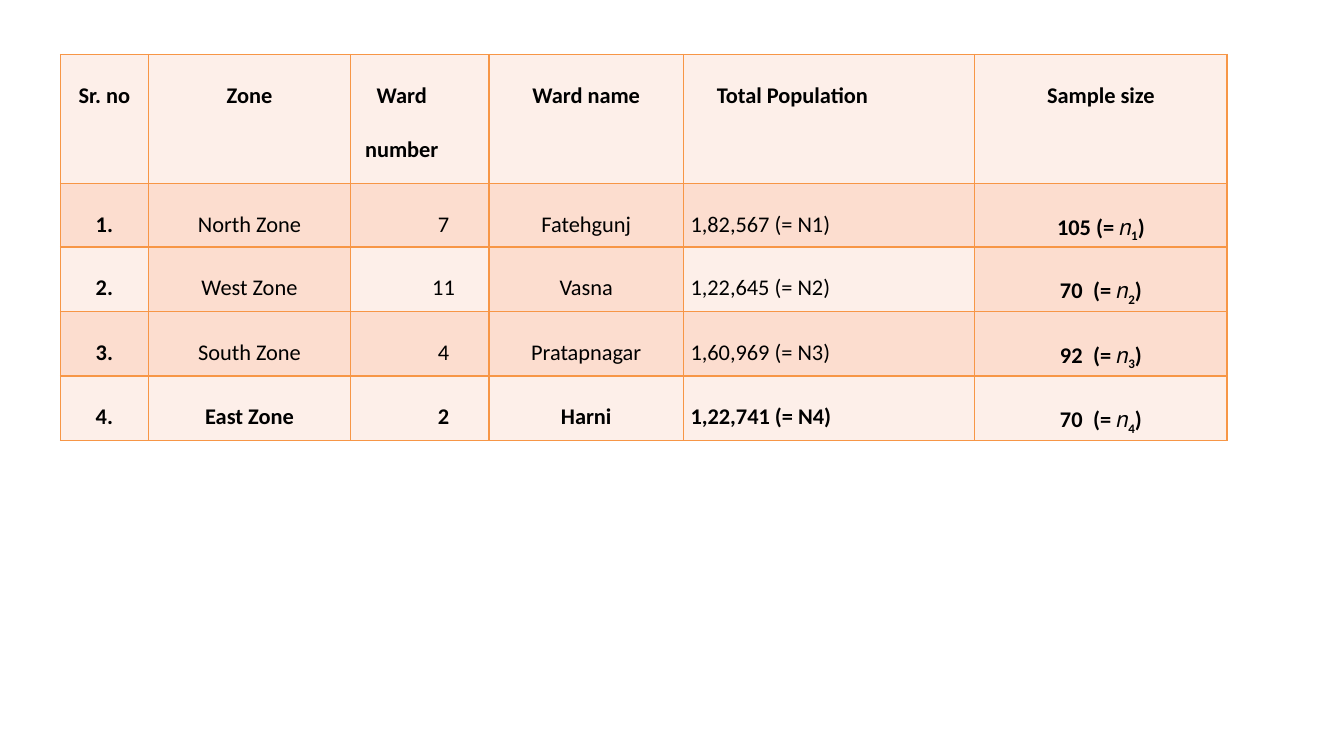
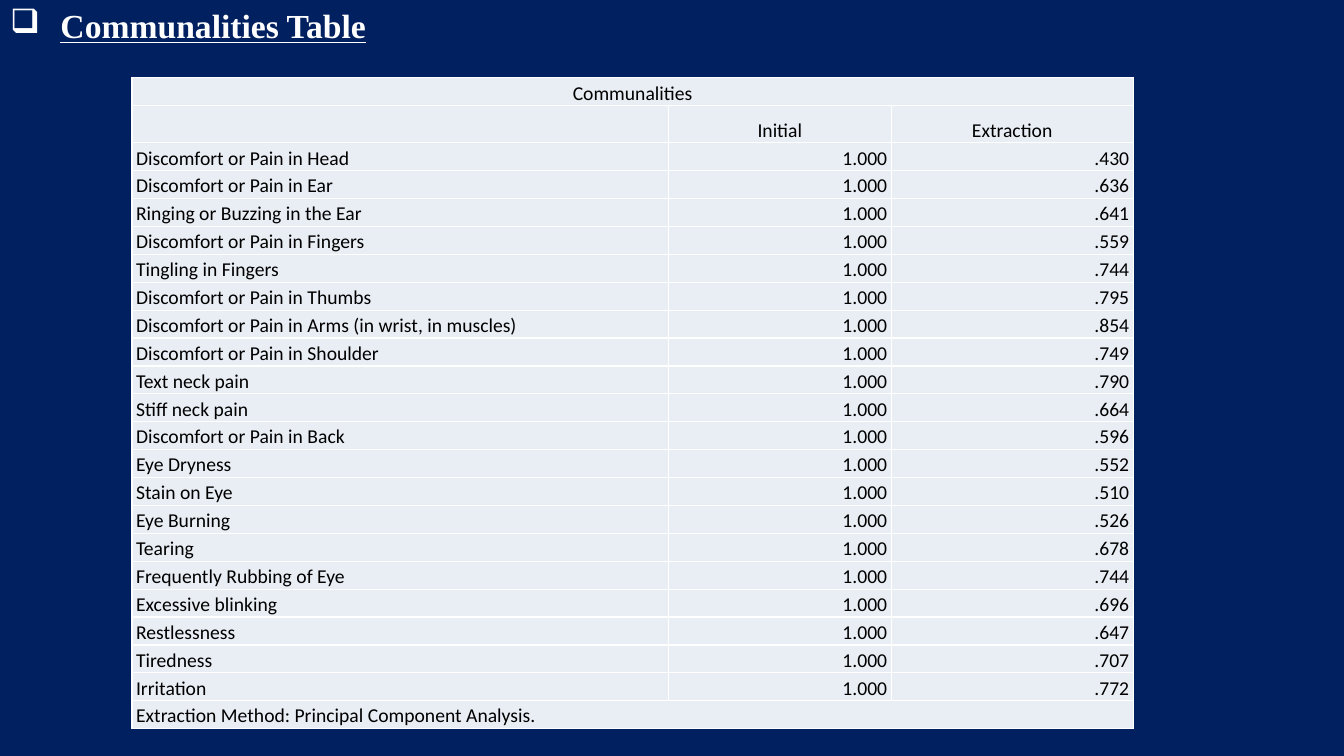
"""Build a ward sampling table and a communalities table."""
import pptx
import pptx.dml.color
import pptx.enum.text
import pptx.oxml.ns
import pptx.util
from lxml import etree

Inches = pptx.util.Inches
Pt = pptx.util.Pt
ALIGN = pptx.enum.text.PP_ALIGN
ANCHOR = pptx.enum.text.MSO_ANCHOR
qn = pptx.oxml.ns.qn

ORANGE, PALE_PEACH, PEACH = "F79646", "FDEFE9", "FCDDCF"
NAVY, PALE_BLUE = "002060", "E9EDF4"
WHITE, BLACK = "FFFFFF", "000000"


def rgb(value):
    return pptx.dml.color.RGBColor.from_string(value)


def style_cell(cell, fill, border, size, spacing, align, bold=False,
               left=0, right=0, top_width=1, bottom_width=1):
    cell.margin_left, cell.margin_right = Inches(left), Inches(right)
    cell.margin_top = cell.margin_bottom = 0
    widths = {"a:lnL": 1, "a:lnR": 1, "a:lnT": top_width, "a:lnB": bottom_width}
    for side, width in widths.items():
        line = etree.SubElement(cell._tc.get_or_add_tcPr(), qn(side), w=str(Pt(width)))
        paint = etree.SubElement(line, qn("a:solidFill"))
        etree.SubElement(paint, qn("a:srgbClr"), val=border)
    cell.fill.solid()
    cell.fill.fore_color.rgb = rgb(fill)
    paragraph = cell.text_frame.paragraphs[0]
    paragraph.alignment = align
    paragraph.line_spacing = spacing
    paragraph.font.name = "Calibri"
    paragraph.font.size = Pt(size)
    paragraph.font.bold = bold
    paragraph.font.color.rgb = rgb(BLACK)


deck = pptx.Presentation()
deck.slide_width, deck.slide_height = Inches(13.33), Inches(7.5)

sampling_slide = deck.slides.add_slide(deck.slide_layouts[6])
wards = [
    ["Sr. no", "Zone", "Ward number", "Ward name", "Total Population", "Sample size"],
    ["1.", "North Zone", "7", "Fatehgunj", "1,82,567 (= N1)", "105 (= "],
    ["2.", "West Zone", "11", "Vasna", "1,22,645 (= N2)", "70\t(= "],
    ["3.", "South Zone", "4", "Pratapnagar", "1,60,969 (= N3)", "92\t(= "],
    ["4.", "East Zone", "2", "Harni", "1,22,741 (= N4)", "70\t(= "],
]
last = len(wards) - 1
sampling = sampling_slide.shapes.add_table(
    len(wards), 6, Inches(0.6), Inches(0.54), Inches(11.58), Inches(3.85)).table
sampling.first_row = sampling.horz_banding = False
for column, width in zip(sampling.columns, [0.87, 2.01, 1.37, 1.93, 2.89, 2.5]):
    column.width = Inches(width)
for row, height in zip(sampling.rows, [1.28, 0.63, 0.64, 0.64, 0.64]):
    row.height = Inches(height)

for r, ward in enumerate(wards):
    header = r == 0
    for c, text in enumerate(ward):
        cell = sampling.cell(r, c)
        cell.text = text
        left = right = 0
        if c == 2:
            left, right = (0, 0.36) if header else (0.47, 0)
        elif c == 4:
            left = 0.33 if header else 0.07
        style_cell(
            cell, PEACH if r in (1, 3) or (r == 2 and c % 2) else PALE_PEACH,
            ORANGE, 16, 2.0, ALIGN.LEFT if c == 4 else ALIGN.CENTER,
            bold=r in (0, last) or c in (0, 5), left=left, right=right,
            top_width=2 if r == last else 1, bottom_width=2 if r == last - 1 else 1)
    if not header:
        sample = sampling.cell(r, 5).text_frame.paragraphs[0]
        for piece in ["𝑛", str(r), ")"]:
            run = sample.add_run()
            run.text = piece
            if piece == str(r):
                run.font._element.set("baseline", "-25000")
        if "\t" in ward[5]:
            properties = sample._p.get_or_add_pPr()
            tabs = etree.Element(qn("a:tabLst"))
            etree.SubElement(tabs, qn("a:tab"), pos=str(Inches(0.33)), algn="l")
            properties.find(qn("a:defRPr")).addprevious(tabs)

communalities_slide = deck.slides.add_slide(deck.slide_layouts[5])
title = communalities_slide.shapes.title
title.left = title.top = 0
title.width, title.height = deck.slide_width, deck.slide_height
title.fill.solid()
title.fill.fore_color.rgb = rgb(NAVY)
title.text_frame.text = "Communalities Table"
title.text_frame.auto_size = pptx.enum.text.MSO_AUTO_SIZE.NONE
title.text_frame.vertical_anchor = ANCHOR.TOP
heading = title.text_frame.paragraphs[0]
heading.alignment = ALIGN.LEFT
heading.space_before = Pt(5)
heading.font.name = "Times New Roman"
heading.font.size = Pt(24)
heading.font.bold = heading.font.underline = True
heading.font.color.rgb = rgb(WHITE)
heading_properties = heading._p.get_or_add_pPr()
heading_properties.set("marL", str(Inches(0.5)))
heading_properties.set("indent", str(Inches(-0.5)))
bullet = etree.Element(qn("a:buChar"), char="❑")
heading_properties.find(qn("a:defRPr")).addprevious(bullet)

extractions = [
    ("Discomfort or Pain in Head", ".430"),
    ("Discomfort or Pain in Ear", ".636"),
    ("Ringing or Buzzing in the Ear", ".641"),
    ("Discomfort or Pain in Fingers", ".559"),
    ("Tingling in Fingers", ".744"),
    ("Discomfort or Pain in Thumbs", ".795"),
    ("Discomfort or Pain in Arms (in wrist, in muscles)", ".854"),
    ("Discomfort or Pain in Shoulder", ".749"),
    ("Text neck pain", ".790"),
    ("Stiff neck pain", ".664"),
    ("Discomfort or Pain in Back", ".596"),
    ("Eye Dryness", ".552"),
    ("Stain on Eye", ".510"),
    ("Eye Burning", ".526"),
    ("Tearing", ".678"),
    ("Frequently Rubbing of Eye", ".744"),
    ("Excessive blinking", ".696"),
    ("Restlessness", ".647"),
    ("Tiredness", ".707"),
    ("Irritation", ".772"),
]
lines = [("Communalities", "", ""), ("", "Initial", "Extraction")]
lines += [(symptom, "1.000", value) for symptom, value in extractions]
lines.append(("Extraction Method: Principal Component Analysis.", "", ""))

communalities = communalities_slide.shapes.add_table(
    len(lines), 3, Inches(1.31), Inches(0.77), Inches(9.94), Inches(6.46)).table
communalities.first_row = communalities.horz_banding = False
for column, width in zip(communalities.columns, [5.32, 2.21, 2.4]):
    column.width = Inches(width)
for r, line in enumerate(lines):
    communalities.rows[r].height = (
        Inches(0.37) if r == 1 else Inches((6.46 - 0.37) / (len(lines) - 1)))
    for c, text in enumerate(line):
        cell = communalities.cell(r, c)
        cell.text = text
        align = ALIGN.CENTER if r < 2 else ALIGN.RIGHT if c else ALIGN.LEFT
        style_cell(cell, PALE_BLUE, WHITE, 14, 1.15, align, left=0.04, right=0.04)
        if r < 2:
            cell.vertical_anchor = ANCHOR.BOTTOM if r else ANCHOR.MIDDLE
for r in (0, len(lines) - 1):
    communalities.cell(r, 0).merge(communalities.cell(r, 2))

deck.save("out.pptx")
